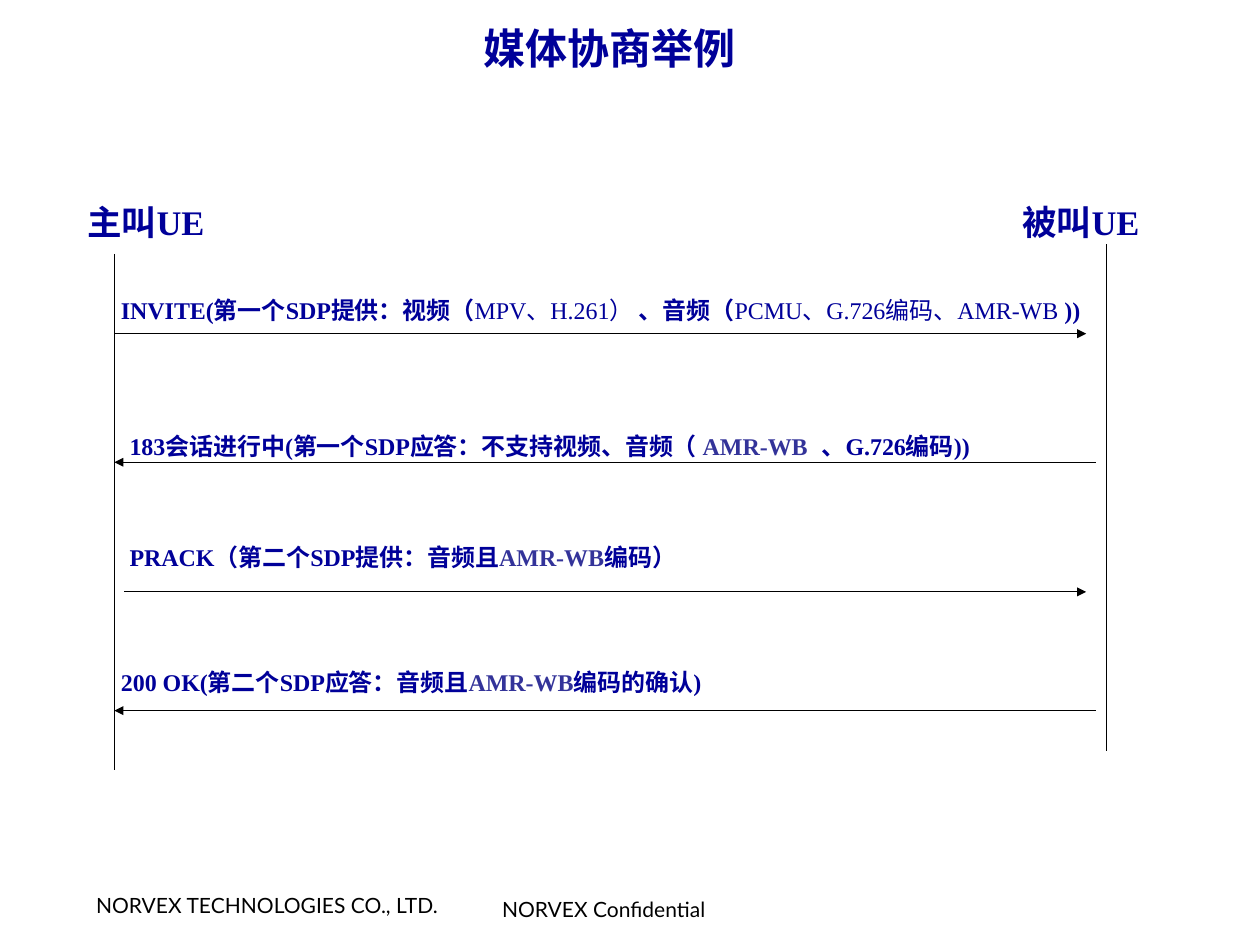
from lxml import etree
from pptx import Presentation
from pptx.dml.color import RGBColor
from pptx.enum import shapes, text
from pptx.oxml import ns
from pptx.util import Inches, Pt

NAVY, INDIGO, BLACK = "000099", "333399", "000000"
SERIF, SANS = "Times New Roman", "Lato"
SLIDE_SIZE = (11.67, 8.75)

heading = dict(name=SERIF, bold=True, color=NAVY)
message = dict(heading, size=16)
codec = dict(message, color=INDIGO)
light = dict(message, bold=False)
gap = dict(light, size=37)
footer = dict(name=SANS, size=14, color=BLACK)

LABELS = [
    (4.48, 0.44, 3, [("媒体协商举例", dict(heading, size=28))]),
    (0.81, 2.05, 1.6, [("主叫UE", dict(heading, size=23))]),
    (9.47, 2.05, 1.6, [("被叫UE", dict(heading, size=23))]),
    (1.12, 2.87, 10.3, [
        ("INVITE(第一个SDP提供：视频（", message),
        ("MPV、H.261） ", light),
        ("、音频（", message),
        ("PCMU、G.726编码、AMR-WB ", light),
        ("))", message)]),
    (1.2, 4.01, 10.2, [
        ("183会话进行中(第一个SDP应答：不支持视频、音频（ ", message),
        ("AMR-WB", codec),
        (" ", gap),
        ("、G.726编码))", message)]),
    (1.2, 5.16, 10.2, [
        ("PRACK（第二个SDP提供：音频且", message),
        ("AMR-WB", codec),
        ("编码）", message)]),
    (1.12, 6.31, 10.3, [
        ("200 OK(第二个SDP应答：音频且", message),
        ("AMR-WB", codec),
        ("编码的确认)", message)]),
    (0.89, 8.38, 3.6, [("NORVEX TECHNOLOGIES CO., LTD.", footer)]),
    (4.65, 8.42, 2.5, [("NORVEX Confidential", footer)]),
]

LIFELINES = [(1.06, 2.35, 7.13), (10.25, 2.26, 6.95)]
ARROWS = [(1.06, 10.06, 3.09), (10.15, 1.06, 4.28),
          (1.15, 10.06, 5.48), (10.15, 1.06, 6.58)]
LABEL_HEIGHT = 0.6


def rgb(code):
    return RGBColor.from_string(code)


def add_label(slide, left, middle, width, runs):
    label = slide.shapes.add_textbox(
        Inches(left), Inches(middle - LABEL_HEIGHT / 2),
        Inches(width), Inches(LABEL_HEIGHT))
    frame = label.text_frame
    settings = dict(word_wrap=True, vertical_anchor=text.MSO_ANCHOR.MIDDLE,
                    margin_left=0, margin_right=0, margin_top=0, margin_bottom=0)
    for key, value in settings.items():
        setattr(frame, key, value)
    for words, style in runs:
        run = frame.paragraphs[0].add_run()
        run.text = words
        for key, value in style.items():
            if key == "color":
                run.font.color.rgb = rgb(value)
            else:
                setattr(run.font, key, Pt(value) if key == "size" else value)


def add_line(slide, x1, y1, x2, y2, arrow=False):
    line = slide.shapes.add_connector(
        shapes.MSO_CONNECTOR.STRAIGHT, *map(Inches, (x1, y1, x2, y2)))
    line.line.color.rgb = rgb(BLACK)
    line.line.width = Pt(0.75)
    if arrow:
        outline = line.line._get_or_add_ln()
        etree.SubElement(outline, ns.qn("a:tailEnd"), type="triangle")
    etree.SubElement(line._element.spPr, ns.qn("a:effectLst"))


def main():
    deck = Presentation()
    deck.slide_width, deck.slide_height = map(Inches, SLIDE_SIZE)
    slide = deck.slides.add_slide(deck.slide_layouts[6])
    for label in LABELS:
        add_label(slide, *label)
    for x, top, bottom in LIFELINES:
        add_line(slide, x, top, x, bottom)
    for start, end, y in ARROWS:
        add_line(slide, start, y, end, y, arrow=True)
    deck.save("out.pptx")


if __name__ == "__main__":
    main()
